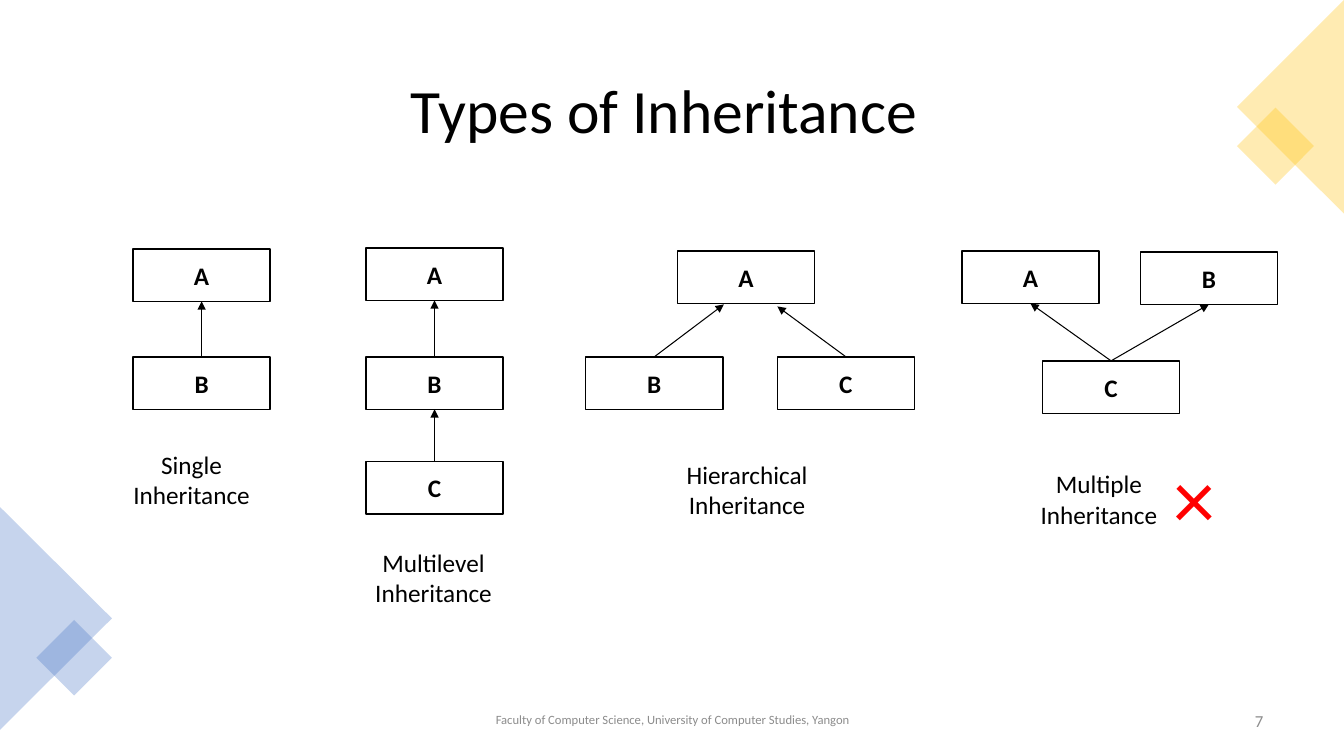
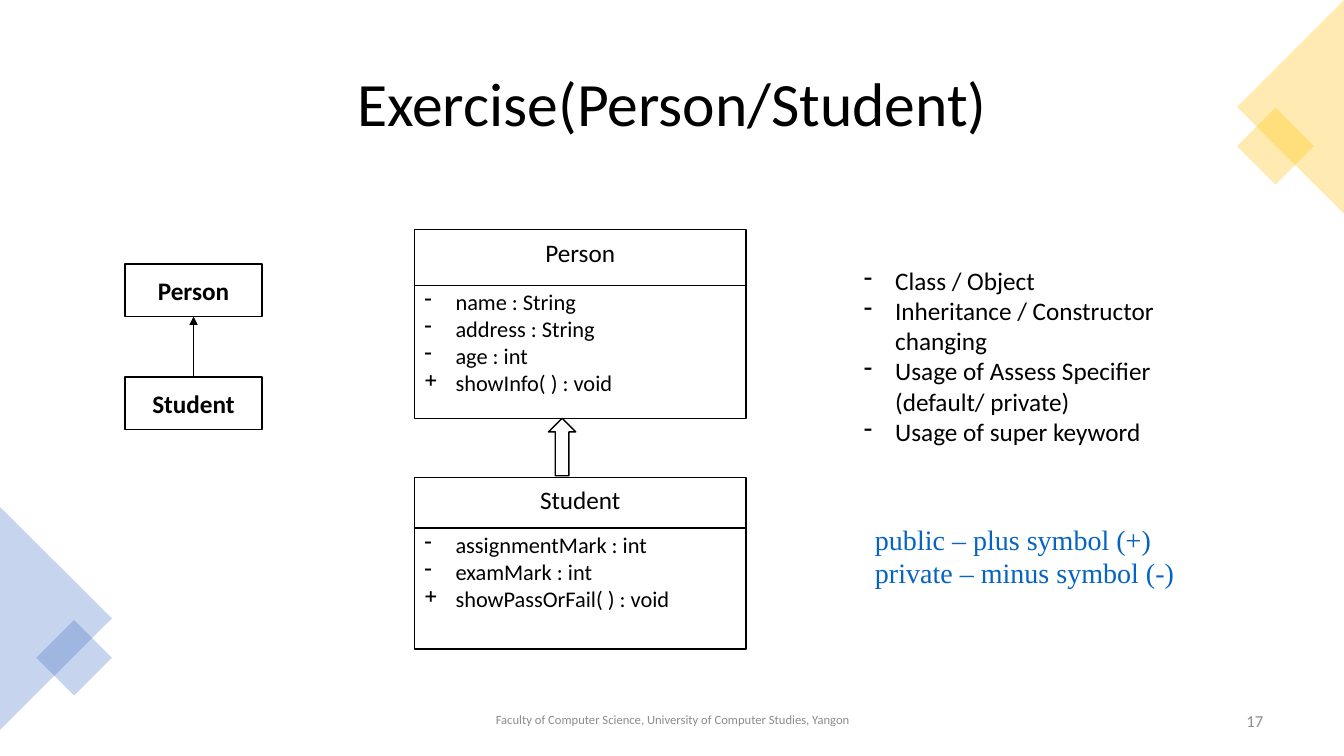
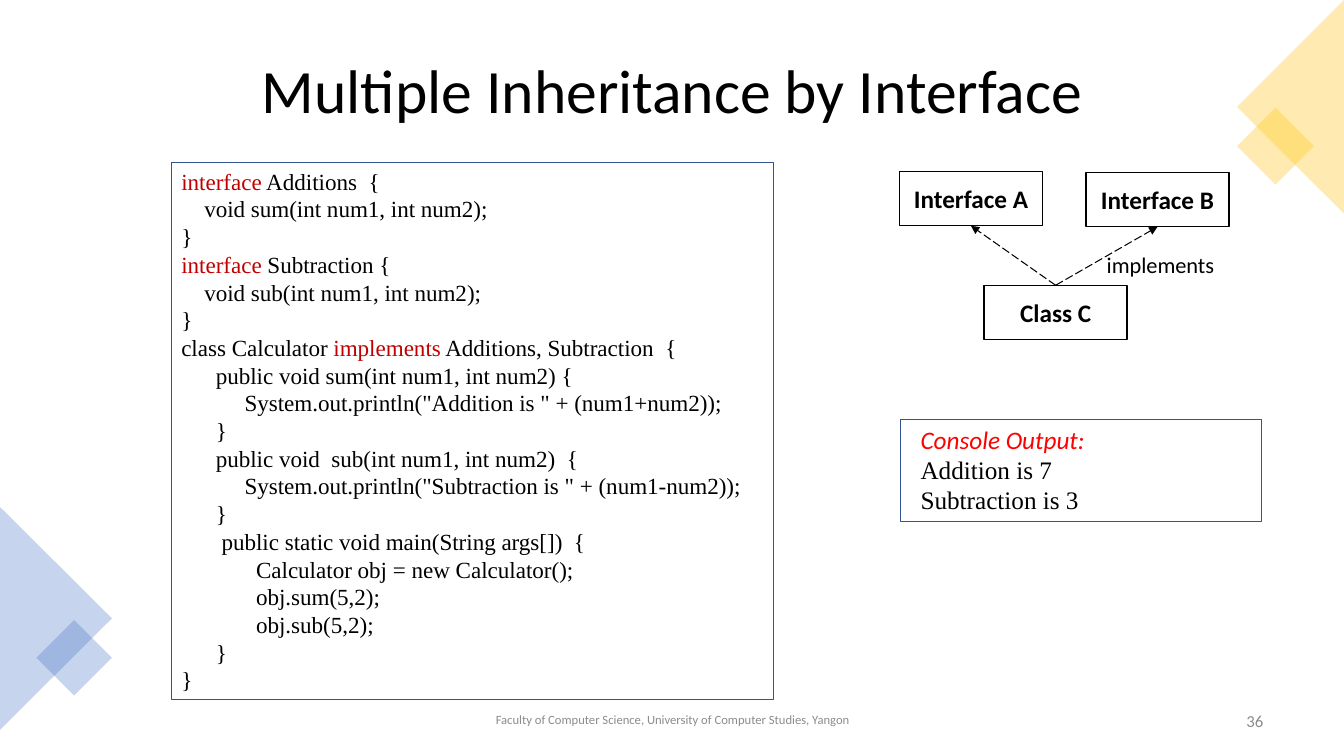
"""Build three slides on types of inheritance, a class exercise and interfaces."""

from dataclasses import dataclass, replace

from lxml.etree import SubElement
from pptx import Presentation
from pptx.dml.color import RGBColor
from pptx.enum.dml import MSO_LINE
from pptx.enum.shapes import MSO_CONNECTOR, MSO_SHAPE
from pptx.enum.text import MSO_ANCHOR, PP_ALIGN
from pptx.oxml.ns import qn
from pptx.util import Inches, Pt

TOP, BOTTOM = 0, 2
SANS, SERIF = "Calibri", "Times New Roman"


@dataclass(frozen=True)
class TextStyle:
    size: float
    color: str = "000000"
    font: str = SANS
    bold: bool = False
    italic: bool = False
    align: PP_ALIGN = PP_ALIGN.LEFT
    anchor: MSO_ANCHOR = MSO_ANCHOR.TOP
    spacing: float = 1.0


@dataclass(frozen=True)
class Theme:
    black: str = "000000"
    white: str = "FFFFFF"
    blue: str = "4472C4"
    gold: str = "FFC000"
    frame: str = "325491"
    keyword: str = "C00000"
    title: TextStyle = TextStyle(44, align=PP_ALIGN.CENTER, anchor=MSO_ANCHOR.MIDDLE, spacing=0.9)
    footer: TextStyle = TextStyle(
        9, "8C8C8C", align=PP_ALIGN.CENTER, anchor=MSO_ANCHOR.MIDDLE, spacing=0.9
    )
    number: TextStyle = TextStyle(12, "8C8C8C", align=PP_ALIGN.RIGHT, anchor=MSO_ANCHOR.MIDDLE)
    node: TextStyle = TextStyle(18, bold=True, align=PP_ALIGN.CENTER, anchor=MSO_ANCHOR.MIDDLE)
    caption: TextStyle = TextStyle(18, align=PP_ALIGN.CENTER)
    body: TextStyle = TextStyle(18)
    member: TextStyle = TextStyle(16)
    arrow_label: TextStyle = TextStyle(16, align=PP_ALIGN.CENTER)
    cross: TextStyle = TextStyle(60, "FF0000")
    legend: TextStyle = TextStyle(20, "0563C1", SERIF)
    code: TextStyle = TextStyle(16.5, font=SERIF)
    output: TextStyle = TextStyle(18, font=SERIF)
    output_heading: TextStyle = TextStyle(18, "FF0000", italic=True)


FOOTER = "Faculty of Computer Science, University of Computer Studies, Yangon"
KEYWORDS = ("interface", "implements")
CODE = """interface Additions  {
    void sum(int num1, int num2);
}
interface Subtraction {
    void sub(int num1, int num2);
}
class Calculator implements Additions, Subtraction  {
      public void sum(int num1, int num2) {
           System.out.println("Addition is " + (num1+num2));
      }
      public void  sub(int num1, int num2)  {
           System.out.println("Subtraction is " + (num1-num2));
      }
       public static void main(String args[])  {
             Calculator obj = new Calculator();
             obj.sum(5,2);
             obj.sub(5,2);
      }
}"""


class Slides:
    def __init__(self, theme):
        self.theme = theme
        self.deck = Presentation()
        self.deck.slide_width = Inches(13.33)
        self.deck.slide_height = Inches(7.5)
        self.page = None

    def add_page(self, title, number, left=0.92, top=0.4, height=1.45):
        theme = self.theme
        self.page = self.deck.slides.add_slide(self.deck.slide_layouts[6])
        self.decoration(MSO_SHAPE.ISOSCELES_TRIANGLE, -0.55, 5.58, 2.21, 1.11, 90, theme.blue)
        self.decoration(MSO_SHAPE.RECTANGLE, 0.47, 6.26, 0.53, 0.53, 45, theme.blue)
        self.decoration(MSO_SHAPE.RECTANGLE, 12.38, 1.18, 0.54, 0.54, 45, theme.gold)
        self.decoration(MSO_SHAPE.ISOSCELES_TRIANGLE, 11.74, 0.53, 2.12, 1.06, 270, theme.gold)
        self.text(FOOTER, 4.42, 6.95, 4.5, 0.4, theme.footer)
        self.text(str(number), 9.63, 6.95, 3, 0.4, theme.number)
        self.text(title, left, top, 11.5, height, theme.title)

    def shape(self, kind, left, top, width, height, fill=None, line=None, weight=1.0):
        shape = self.page.shapes.add_shape(
            kind, Inches(left), Inches(top), Inches(width), Inches(height)
        )
        shape.shadow.inherit = False
        if fill:
            shape.fill.solid()
            shape.fill.fore_color.rgb = RGBColor.from_string(fill)
        else:
            shape.fill.background()
        if line:
            shape.line.color.rgb = RGBColor.from_string(line)
            shape.line.width = Pt(weight)
        else:
            shape.line.fill.background()
        return shape

    def decoration(self, kind, left, top, width, height, rotation, color):
        shape = self.shape(kind, left, top, width, height, fill=color)
        shape.rotation = rotation
        solid = shape.element.spPr.find(qn("a:solidFill"))
        SubElement(solid[0], qn("a:alpha"), val="30000")

    def format_span(self, span, style):
        span.font.name = style.font
        span.font.size = Pt(style.size)
        span.font.bold = style.bold
        span.font.italic = style.italic
        span.font.color.rgb = RGBColor.from_string(style.color)

    def format_para(self, para, style):
        para.alignment = style.align
        para.line_spacing = style.spacing
        for span in para.runs:
            self.format_span(span, style)

    def set_words(self, box, words, style):
        frame = box.text_frame
        frame.word_wrap = True
        frame.vertical_anchor = style.anchor
        frame.text = words
        for para in frame.paragraphs:
            self.format_para(para, style)

    def text(self, words, left, top, width, height, style):
        box = self.page.shapes.add_textbox(
            Inches(left), Inches(top), Inches(width), Inches(height)
        )
        self.set_words(box, words, style)
        return box

    def bullets(self, items, left, top, width, height, style):
        marks, words = zip(*(item.split(" ", 1) for item in items))
        box = self.text("\n".join(words), left, top, width, height, style)
        for para, mark in zip(box.text_frame.paragraphs, marks):
            properties = para._p.get_or_add_pPr()
            properties.set("marL", str(Inches(0.31)))
            properties.set("indent", str(-Inches(0.31)))
            SubElement(properties, qn("a:buChar"), char=mark)

    def node(self, words, left, top, width=1.36, height=0.52):
        box = self.shape(MSO_SHAPE.RECTANGLE, left, top, width, height, line=self.theme.black)
        self.set_words(box, words, self.theme.node)
        return box

    def line(self, start=(0, 0), end=(0, 0), weight=1.0):
        points = [Inches(value) for value in (*start, *end)]
        line = self.page.shapes.add_connector(MSO_CONNECTOR.STRAIGHT, *points)
        line.line.color.rgb = RGBColor.from_string(self.theme.black)
        line.line.width = Pt(weight)
        SubElement(line.element.spPr, qn("a:effectLst"))
        return line

    def arrow(self, child, parent=None, end=(0, 0), dashed=False):
        arrow = self.line(end=end, weight=0.75)
        arrow.begin_connect(child, TOP)
        if parent is not None:
            arrow.end_connect(parent, BOTTOM)
        if dashed:
            arrow.line.dash_style = MSO_LINE.LONG_DASH
        outline = arrow.element.spPr.find(qn("a:ln"))
        SubElement(outline, qn("a:tailEnd"), type="triangle")

    def class_card(self, name, members, top, header, height):
        left, width = 4.11, 3.29
        divider = top + header
        self.shape(MSO_SHAPE.RECTANGLE, left, top, width, height, line=self.theme.black)
        self.line((left, divider), (left + width, divider))
        self.text(name, left, top + 0.02, width, header, self.theme.caption)
        self.bullets(members, left, divider - 0.02, width, height - header, self.theme.member)

    def panel(self, words, left, top, width, height, style, margin=0.1):
        box = self.shape(
            MSO_SHAPE.RECTANGLE, left, top, width, height, line=self.theme.frame, weight=0.75
        )
        box.text_frame.margin_left = Inches(margin)
        self.set_words(box, words, style)
        return box

    def code_panel(self, code, left, top, width, height):
        style = self.theme.code
        marked = replace(style, color=self.theme.keyword)
        box = self.panel(code, left, top, width, height, style)
        box.text_frame.margin_bottom = 0
        for para in box.text_frame.paragraphs:
            words = para.text
            keyword = next((word for word in KEYWORDS if word in words), None)
            if keyword:
                para.text = ""
                before, found, after = words.partition(keyword)
                for piece, look in ((before, style), (found, marked), (after, style)):
                    if piece:
                        span = para.add_run()
                        span.text = piece
                        self.format_span(span, look)


def add_types(slides):
    slides.add_page("Types of Inheritance", 7, left=0.84)

    single_parent = slides.node("A", 1.32, 2.47)
    slides.arrow(slides.node("B", 1.32, 3.54), single_parent)

    top_class = slides.node("A", 3.63, 2.46)
    middle_class = slides.node("B", 3.63, 3.54)
    slides.arrow(middle_class, top_class)
    slides.arrow(slides.node("C", 3.63, 4.58), middle_class)

    slides.node("A", 6.72, 2.49)
    slides.arrow(slides.node("B", 5.81, 3.54), end=(7.18, 3.02))
    slides.arrow(slides.node("C", 7.71, 3.54), end=(7.71, 3.04))

    parents = [slides.node("A", 9.54, 2.49), slides.node("B", 11.31, 2.5)]
    shared_child = slides.node("C", 10.34, 3.58)
    for parent in parents:
        slides.arrow(shared_child, parent)

    captions = (
        ("Single", 0.97, 4.41),
        ("Multilevel", 3.37, 5.38),
        ("Hierarchical", 6.48, 4.51),
        ("Multiple", 9.97, 4.6),
    )
    for kind, left, top in captions:
        slides.text(f"{kind} Inheritance", left, top, 1.86, 0.71, slides.theme.caption)
    slides.text("×", 11.54, 4.37, 0.73, 1.11, slides.theme.cross)


def add_exercise(slides):
    theme = slides.theme
    slides.add_page("Exercise(Person/Student)", 17, top=0.33)

    person = slides.node("Person", 1.24, 2.62)
    slides.arrow(slides.node("Student", 1.24, 3.74), person)

    person_members = (
        "- name : String", "- address : String", "- age : int", "+ showInfo( ) : void",
    )
    student_members = (
        "- assignmentMark : int", "- examMark : int", "+ showPassOrFail( ) : void",
    )
    slides.class_card("Person", person_members, 2.28, 0.55, 1.87)
    slides.class_card("Student", student_members, 4.74, 0.5, 1.7)
    slides.shape(MSO_SHAPE.UP_ARROW, 5.44, 4.15, 0.27, 0.57, theme.white, theme.black)

    topics = (
        "- Class / Object",
        "- Inheritance / Constructor\vchanging",
        "- Usage of Assess Specifier (default/ private)",
        "- Usage of super keyword",
    )
    slides.bullets(topics, 8.47, 2.58, 3.62, 1.92, theme.body)
    slides.text(
        "public – plus symbol (+)\nprivate – minus symbol (-)", 8.58, 5.13, 3.4, 0.77, theme.legend
    )


def add_interfaces(slides):
    theme = slides.theme
    slides.add_page("Multiple Inheritance by Interface", 36, height=1.06)
    slides.code_panel(CODE, 1.7, 1.61, 5.97, 5.33)

    output = slides.panel(
        "Console Output:\nAddition is 7\nSubtraction is 3",
        8.93, 4.16, 3.58, 1.01, theme.output, margin=0.2,
    )
    slides.format_para(output.text_frame.paragraphs[0], theme.output_heading)

    slides.text("implements", 10.81, 2.44, 1.4, 0.39, theme.arrow_label)
    interfaces = [
        slides.node("Interface A", 8.92, 1.7, 1.42, 0.54),
        slides.node("Interface B", 10.77, 1.71, 1.42, 0.54),
    ]
    implementer = slides.node("Class C", 9.76, 2.83, 1.42, 0.54)
    for interface in interfaces:
        slides.arrow(implementer, interface, dashed=True)


def main():
    slides = Slides(Theme())
    add_types(slides)
    add_exercise(slides)
    add_interfaces(slides)
    slides.deck.save("out.pptx")


if __name__ == "__main__":
    main()
